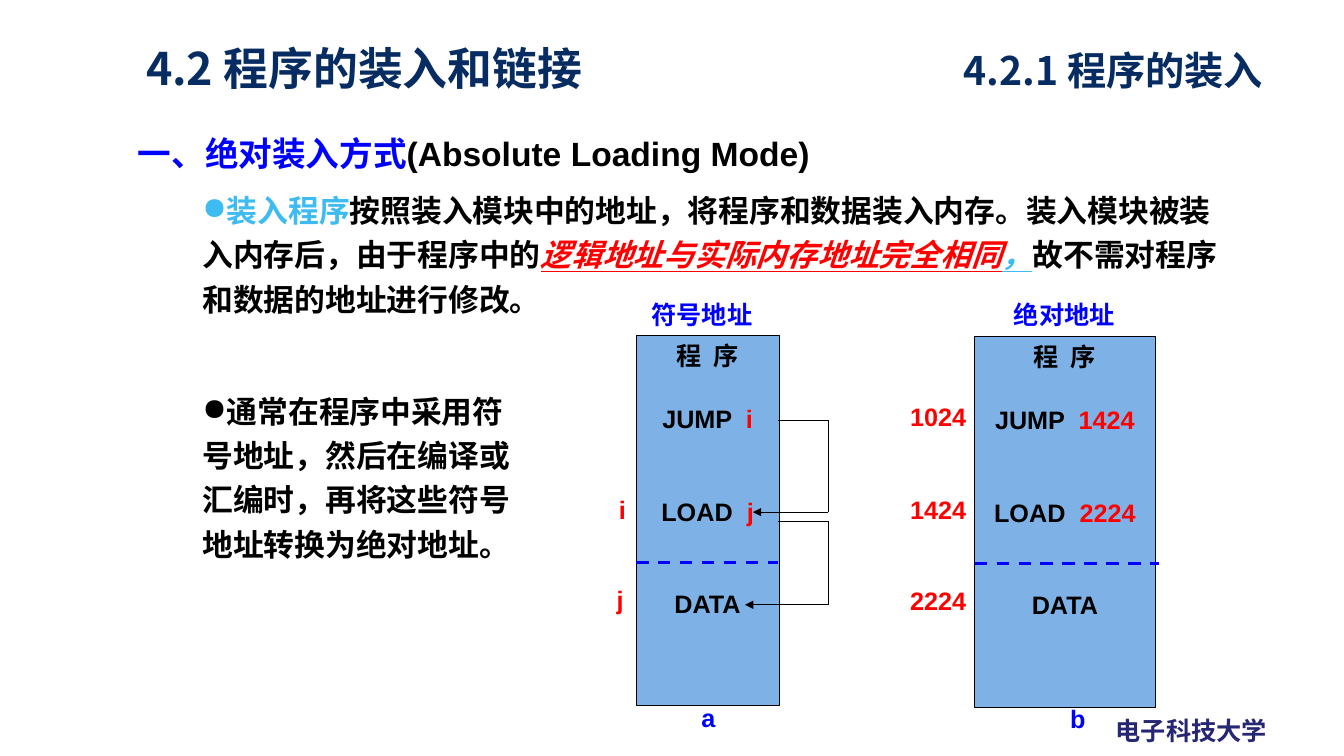
from dataclasses import dataclass
from itertools import pairwise

from lxml.etree import SubElement
from pptx import Presentation
from pptx.dml.color import RGBColor
from pptx.enum.dml import MSO_LINE
from pptx.enum.shapes import MSO_CONNECTOR, MSO_SHAPE
from pptx.enum.text import MSO_ANCHOR, PP_ALIGN
from pptx.oxml.ns import qn
from pptx.shapes.connector import Connector
from pptx.slide import Slide
from pptx.text.text import TextFrame, _Paragraph
from pptx.util import Pt


@dataclass(frozen=True)
class Theme:
    latin: str = "Arial"
    chinese: str = "Noto Sans CJK SC"
    black: str = "000000"
    blue: str = "0000FF"
    red: str = "FF0000"
    sky: str = "3EBBF0"
    navy: str = "072C62"
    footer: str = "262673"
    memory: str = "7EB2E6"
    title: float = 32
    subtitle: float = 28
    heading: float = 24
    body: float = 22
    label: float = 18
    thin: float = 0.75
    thick: float = 2.25


THEME = Theme()


@dataclass(frozen=True)
class Span:
    text: str
    color: str = THEME.black
    emphasis: bool = False


@dataclass(frozen=True)
class TextBlock:
    left: float
    top: float
    width: float
    height: float
    spans: tuple[Span, ...]
    size: float = THEME.label
    font: str = THEME.latin
    line_spacing: float = 1.0
    bullet: bool = False
    wrap: bool = True


@dataclass(frozen=True)
class MemoryColumn:
    left: float
    top: float
    width: float
    height: float
    jump_target: str
    load_target: str
    divider_y: float
    divider_end: float


def label(left: float, top: float, width: float, text: str, color: str,
          wrap: bool = True) -> TextBlock:
    return TextBlock(left, top, width, 28.8, (Span(text, color),), wrap=wrap)


def heading(left: float, top: float, width: float, text: str, size: float) -> TextBlock:
    return TextBlock(left, top, width, 41.8, (Span(text, THEME.navy),), size,
                     THEME.chinese, 1.1)


TEXT_BLOCKS = (
    label(789.8, 507.6, 123.8, "电子科技大学", THEME.footer, wrap=False),
    heading(97.2, 21.6, 366.5, "4.2 程序的装入和链接", THEME.title),
    heading(681.1, 25.9, 245.5, "4.2.1 程序的装入", THEME.subtitle),
    TextBlock(91.4, 91.4, 556.6, 36, (
        Span("一、绝对装入方式", THEME.blue),
        Span("(Absolute Loading Mode)"),
    ), THEME.heading),
    TextBlock(137.5, 128.2, 755.3, 103, (
        Span("装入程序", THEME.sky),
        Span("按照装入模块中的地址，将程序和数据装入内存。装入模块被装入内存后，由于程序中的"),
        Span("逻辑地址与实际内存地址完全相同", THEME.red, True),
        Span("，", THEME.sky, True),
        Span("故不需对程序和数据的地址进行修改。"),
    ), THEME.body, line_spacing=1.2, bullet=True),
    TextBlock(137.5, 271.4, 242.6, 135.4, (
        Span("通常在程序中采用符号地址，然后在编译或汇编时，再将这些符号地址转换为绝对地址。"),
    ), THEME.body, line_spacing=1.2, bullet=True),
    label(458.3, 210.2, 104, "符号地址", THEME.blue),
    label(717.1, 210.2, 108, "绝对地址", THEME.blue),
    label(434.9, 349.2, 20.2, "i", THEME.red, wrap=False),
    label(433.4, 414, 20.2, "j", THEME.red, wrap=False),
    label(643, 283, 62, "1024", THEME.red),
    label(643, 349.2, 62, "1424", THEME.red),
    label(643, 414.7, 63.4, "2224", THEME.red),
    label(493.9, 498.2, 31.7, "a", THEME.blue),
    label(757.4, 499, 31.7, "b", THEME.blue),
)

COLUMNS = (
    MemoryColumn(454.3, 239.8, 102.2, 264.2, "i", "j", 401.8, 555.8),
    MemoryColumn(696.2, 240.5, 128.9, 265, "1424", "2224", 402.5, 828),
)

REFERENCE_ARROWS = (
    ((555.8, 300.2), (591.8, 300.2), (591.8, 365.8), (537.8, 365.8)),
    ((555.8, 372.2), (591.8, 372.2), (591.8, 432), (532.1, 432)),
)


def add_spans(para: _Paragraph, spans: tuple[Span, ...], size: float, font: str) -> None:
    for span in spans:
        run = para.add_run()
        run.text = span.text
        run.font.size = Pt(size)
        run.font.bold = True
        run.font.name = font
        run.font.color.rgb = RGBColor.from_string(span.color)
        if span.emphasis:
            run.font.italic = True
            run.font.underline = True
        east_asian = SubElement(run.font._element, qn("a:ea"))
        east_asian.set("typeface", THEME.chinese)


def add_bullet(para: _Paragraph) -> None:
    properties = para._p.get_or_add_pPr()
    properties.set("marL", "0")
    properties.set("indent", "0")
    SubElement(properties, qn("a:buChar")).set("char", "●")


def add_text(page: Slide, block: TextBlock) -> None:
    box = page.shapes.add_textbox(Pt(block.left), Pt(block.top),
                                  Pt(block.width), Pt(block.height))
    box.text_frame.word_wrap = block.wrap
    para = box.text_frame.paragraphs[0]
    if block.bullet:
        add_bullet(para)
    para.line_spacing = block.line_spacing
    add_spans(para, block.spans, block.size, block.font)


def add_line(page: Slide, start: tuple[float, float], end: tuple[float, float],
             color: str, weight: float) -> Connector:
    line = page.shapes.add_connector(MSO_CONNECTOR.STRAIGHT, Pt(start[0]), Pt(start[1]),
                                     Pt(end[0]), Pt(end[1]))
    line.line.color.rgb = RGBColor.from_string(color)
    line.line.width = Pt(weight)
    SubElement(line._element.spPr, qn("a:effectLst"))
    return line


def fill_memory(frame: TextFrame, column: MemoryColumn) -> None:
    rows = (
        (0, (Span("程  序"),)),
        (23.5, (Span("JUMP  "), Span(column.jump_target, THEME.red))),
        (44.3, (Span("LOAD  "), Span(column.load_target, THEME.red))),
        (44.3, (Span("DATA"),)),
    )
    frame.word_wrap = False
    frame.vertical_anchor = MSO_ANCHOR.TOP
    for index, (gap, spans) in enumerate(rows):
        para = frame.add_paragraph() if index else frame.paragraphs[0]
        para.alignment = PP_ALIGN.CENTER
        para.space_before = Pt(gap)
        add_spans(para, spans, THEME.label, THEME.latin)


def add_memory(page: Slide, column: MemoryColumn) -> None:
    box = page.shapes.add_shape(MSO_SHAPE.RECTANGLE, Pt(column.left), Pt(column.top),
                                Pt(column.width), Pt(column.height))
    box.shadow.inherit = False
    box.fill.solid()
    box.fill.fore_color.rgb = RGBColor.from_string(THEME.memory)
    box.line.color.rgb = RGBColor.from_string(THEME.black)
    box.line.width = Pt(THEME.thin)
    fill_memory(box.text_frame, column)
    divider = add_line(page, (column.left, column.divider_y),
                       (column.divider_end, column.divider_y), THEME.blue, THEME.thick)
    divider.line.dash_style = MSO_LINE.DASH


def add_reference_arrow(page: Slide, corners: tuple[tuple[float, float], ...]) -> None:
    """Join the corners with straight lines and put an arrowhead on the last."""
    lines = [add_line(page, start, end, THEME.black, THEME.thin)
             for start, end in pairwise(corners)]
    SubElement(lines[-1].line._get_or_add_ln(), qn("a:tailEnd")).set("type", "triangle")


def main() -> None:
    deck = Presentation()
    deck.slide_width, deck.slide_height = Pt(960), Pt(540)
    page = deck.slides.add_slide(deck.slide_layouts[6])
    for column in COLUMNS:
        add_memory(page, column)
    for corners in REFERENCE_ARROWS:
        add_reference_arrow(page, corners)
    for block in TEXT_BLOCKS:
        add_text(page, block)
    deck.save("out.pptx")


if __name__ == "__main__":
    main()
